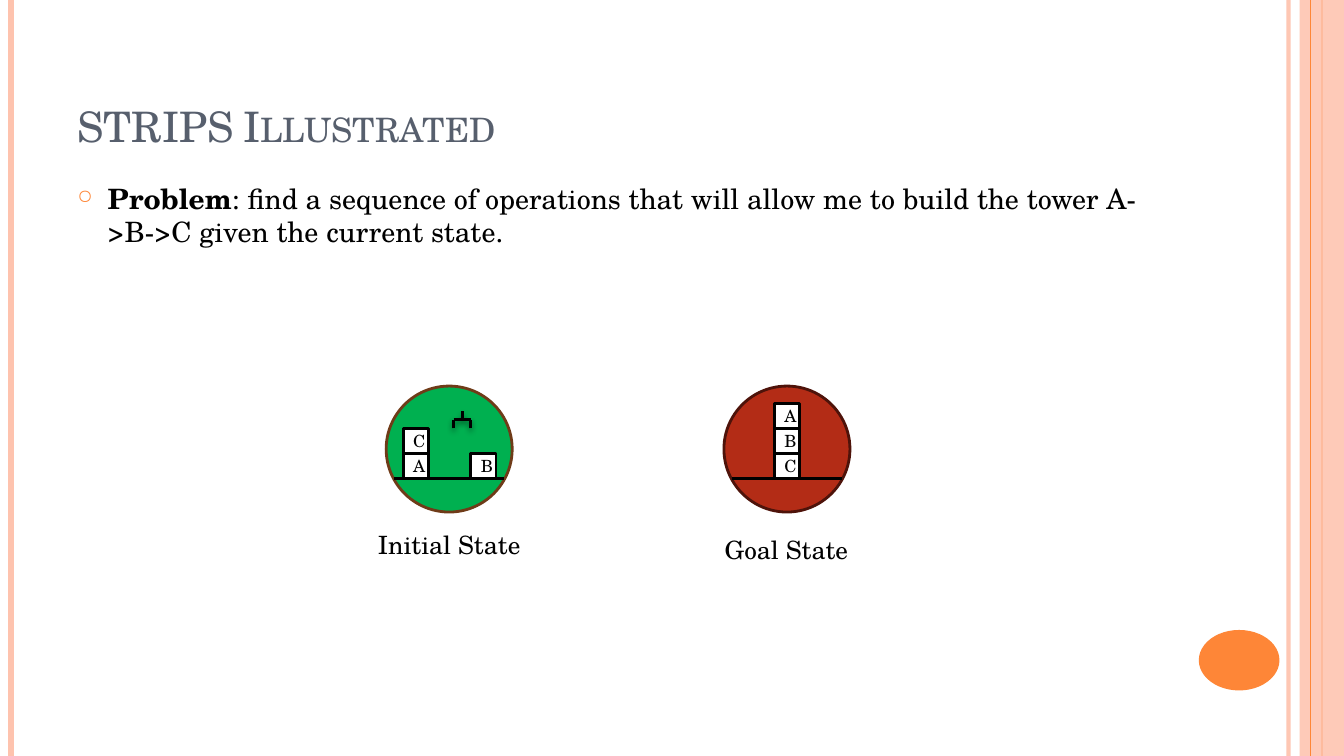
import pptx
import pptx.util
import pptx.dml.color
import pptx.enum.shapes
import pptx.enum.text
import pptx.oxml
import pptx.oxml.ns
from dataclasses import dataclass
from lxml import etree

Inches = pptx.util.Inches
Pt = pptx.util.Pt
SHAPE = pptx.enum.shapes.MSO_SHAPE
ANCHOR = pptx.enum.text.MSO_ANCHOR
ALIGN = pptx.enum.text.PP_ALIGN
qn = pptx.oxml.ns.qn


@dataclass(frozen=True)
class Theme:
    font: str = "TeX Gyre Schola"
    title: str = "575F6D"
    text: str = "000000"
    block: str = "FFFFFF"
    accent: str = "FE8637"
    stripe: str = "FEC3AE"
    initial: str = "00B050"
    initial_edge: str = "6F3B18"
    goal: str = "B32C16"
    goal_edge: str = "4E130A"
    title_size: int = 30
    body_size: int = 20
    caption_size: int = 18
    block_size: int = 12


THEME = Theme()
SLIDE_W, SLIDE_H = 13.33, 7.5
BLOCK = 0.25


def rgb(color):
    return pptx.dml.color.RGBColor.from_string(color)


def set_alpha(fill_parent, percent):
    color = fill_parent.find(".//" + qn("a:srgbClr"))
    etree.SubElement(color, qn("a:alpha")).set("val", str(percent * 1000))


def add_line(slide, x1, y1, x2, y2, color, width, shadow=False):
    line = slide.shapes.add_connector(
        pptx.enum.shapes.MSO_CONNECTOR.STRAIGHT,
        Inches(x1), Inches(y1), Inches(x2), Inches(y2))
    line.line.color.rgb = rgb(color)
    line.line.width = Pt(width)
    effects = etree.SubElement(line._element.spPr, qn("a:effectLst"))
    if shadow:
        effects.append(pptx.oxml.parse_xml(
            '<a:outerShdw xmlns:a="http://schemas.openxmlformats.org/drawingml/2006/main"'
            ' blurRad="50800" dist="25400" dir="5400000" rotWithShape="0">'
            '<a:srgbClr val="000000"><a:alpha val="40000"/></a:srgbClr></a:outerShdw>'))
    return line


def add_filled(slide, kind, x, y, w, h, fill, edge=None):
    sp = slide.shapes.add_shape(kind, Inches(x), Inches(y), Inches(w), Inches(h))
    sp.shadow.inherit = False
    sp.fill.solid()
    sp.fill.fore_color.rgb = rgb(fill)
    if edge:
        sp.line.color.rgb = rgb(edge)
        sp.line.width = Pt(2)
    else:
        sp.line.fill.background()
    return sp


def add_text_box(slide, x, y, w, h, wrap=True):
    tf = slide.shapes.add_textbox(Inches(x), Inches(y), Inches(w), Inches(h)).text_frame
    tf.word_wrap = wrap
    return tf


def style(r, size, color=THEME.text, bold=False):
    r.font.name = THEME.font
    r.font.size = Pt(size)
    r.font.bold = bold
    r.font.color.rgb = rgb(color)


def write_centred(tf, text, size):
    tf.text = text
    p = tf.paragraphs[0]
    p.alignment = ALIGN.CENTER
    style(p.runs[0], size)


def add_frame(slide, w, h):
    """Vertical stripes along both edges and the page-number disc."""
    def stripe(x, color, width):
        return add_line(slide, x, 0, x, h, color, width)

    inner = stripe(w - 0.55, THEME.stripe, 3)
    set_alpha(inner._element.spPr, 93)
    stripe(0.11, THEME.stripe, 4.5)
    stripe(w - 0.22, THEME.accent, 1.5)
    band = add_filled(slide, SHAPE.RECTANGLE, w - 0.44, 0, 0.44, h, THEME.stripe)
    set_alpha(band._element.spPr, 87)
    stripe(w - 0.33, THEME.accent, 0.75)
    add_filled(slide, SHAPE.OVAL, w - 1.44, h - 1.25, 0.8, 0.6, THEME.accent)


def add_title(slide, x, y, w, h):
    tf = add_text_box(slide, x, y, w, h)
    tf.vertical_anchor = ANCHOR.BOTTOM
    tf.text = "STRIPS Illustrated"
    r = tf.paragraphs[0].runs[0]
    style(r, THEME.title_size, THEME.title)
    r.font._element.set("cap", "small")


def add_problem(slide, x, y, w, h):
    p = add_text_box(slide, x, y, w, h).paragraphs[0]
    p.space_before = Pt(6)
    for text, bold in (
            ("Problem", True),
            (": find a sequence of operations that will allow me to build "
             "the tower A->B->C given the current state.", False)):
        r = p.add_run()
        r.text = text
        style(r, THEME.body_size, bold=bold)
    # Hanging bullet
    pPr = p._p.get_or_add_pPr()
    pPr.set("marL", str(Inches(0.3)))
    pPr.set("indent", str(-Inches(0.3)))
    color = etree.SubElement(pPr, qn("a:buClr"))
    etree.SubElement(color, qn("a:srgbClr")).set("val", THEME.accent)
    etree.SubElement(pPr, qn("a:buSzPct")).set("val", "70000")
    etree.SubElement(pPr, qn("a:buChar")).set("char", "○")


def add_state(slide, x, y, size, fill, edge, towers):
    """A disc with a table line; towers maps a left offset to blocks, bottom up."""
    add_filled(slide, SHAPE.OVAL, x, y, size, size, fill, edge)
    ground = y + 0.92
    add_line(slide, x + 0.08, ground, x + size - 0.08, ground, THEME.text, 2.25)
    for offset, names in towers.items():
        for level, name in enumerate(names, start=1):
            sp = add_filled(slide, SHAPE.RECTANGLE, x + offset, ground - level * BLOCK,
                            BLOCK, BLOCK, THEME.block, THEME.text)
            sp.text_frame.vertical_anchor = ANCHOR.MIDDLE
            write_centred(sp.text_frame, name, THEME.block_size)


def add_caption(slide, x, y, w, h, text):
    write_centred(add_text_box(slide, x, y, w, h, wrap=False), text, THEME.caption_size)


def add_gripper(slide, x, y, w, h):
    """The empty robot hand: a stem, a bar and two fingers."""
    mid_x, mid_y = x + w / 2, y + h / 2
    for ends in ((mid_x, y, mid_x, mid_y),
                 (x, mid_y, x + w, mid_y),
                 (x + w, y + h, x + w, mid_y),
                 (x, y + h, x, mid_y)):
        add_line(slide, *ends, THEME.text, 2, shadow=True)


def main():
    prs = pptx.Presentation()
    prs.slide_width, prs.slide_height = Inches(SLIDE_W), Inches(SLIDE_H)
    slide = prs.slides.add_slide(prs.slide_layouts[6])
    add_frame(slide, SLIDE_W, SLIDE_H)
    add_title(slide, 0.67, 0.3, 10.89, 1.25)
    add_problem(slide, 0.67, 1.75, 10.89, 5.33)
    add_state(slide, 3.83, 3.83, 1.25, THEME.initial, THEME.initial_edge,
              {0.17: "AC", 0.84: "B"})
    add_state(slide, 7.18, 3.83, 1.25, THEME.goal, THEME.goal_edge, {0.5: "CBA"})
    add_caption(slide, 3.64, 5.2, 1.63, 0.4, "Initial State")
    add_caption(slide, 7.08, 5.25, 1.44, 0.4, "Goal State")
    add_gripper(slide, 4.5, 4.08, 0.17, 0.17)
    prs.save("out.pptx")


if __name__ == "__main__":
    main()
